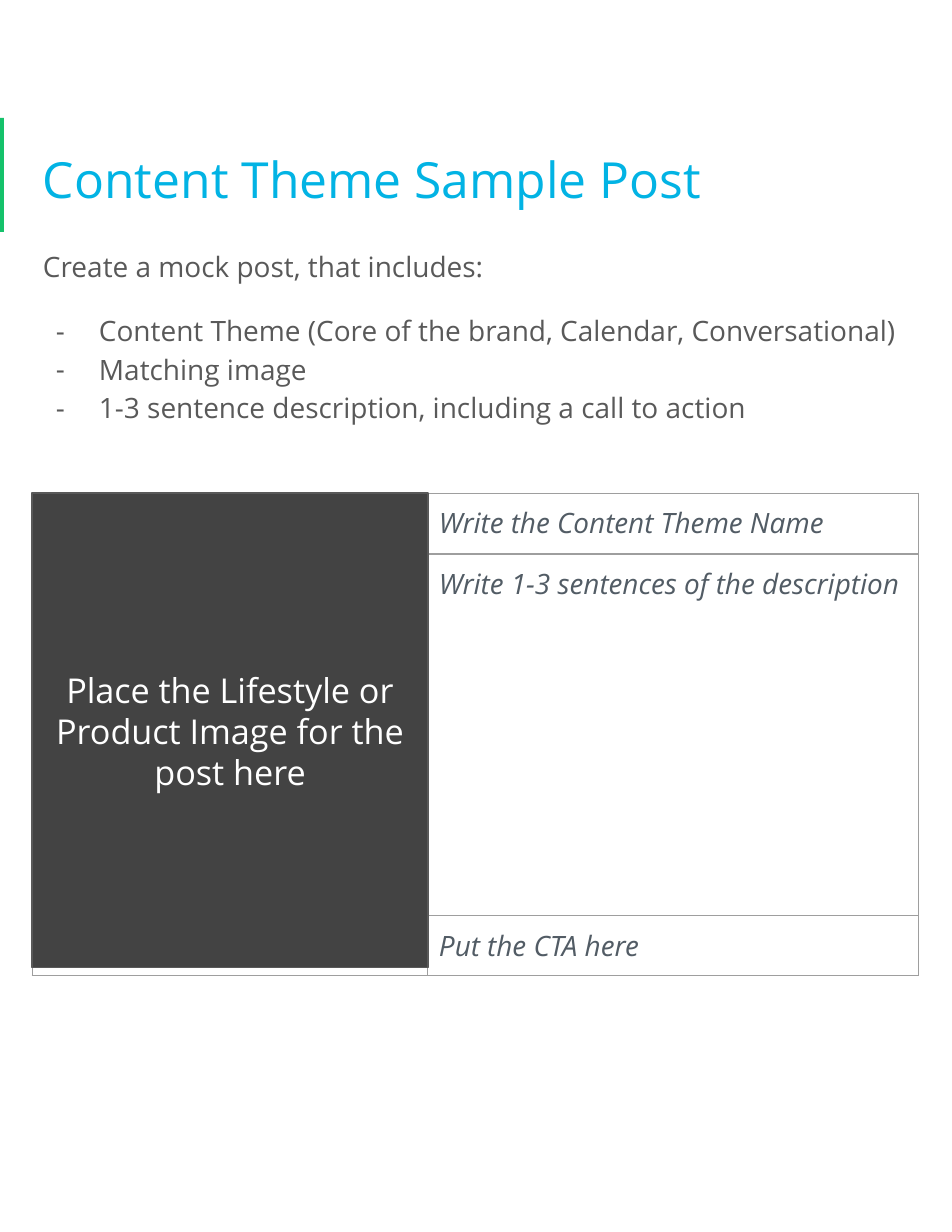
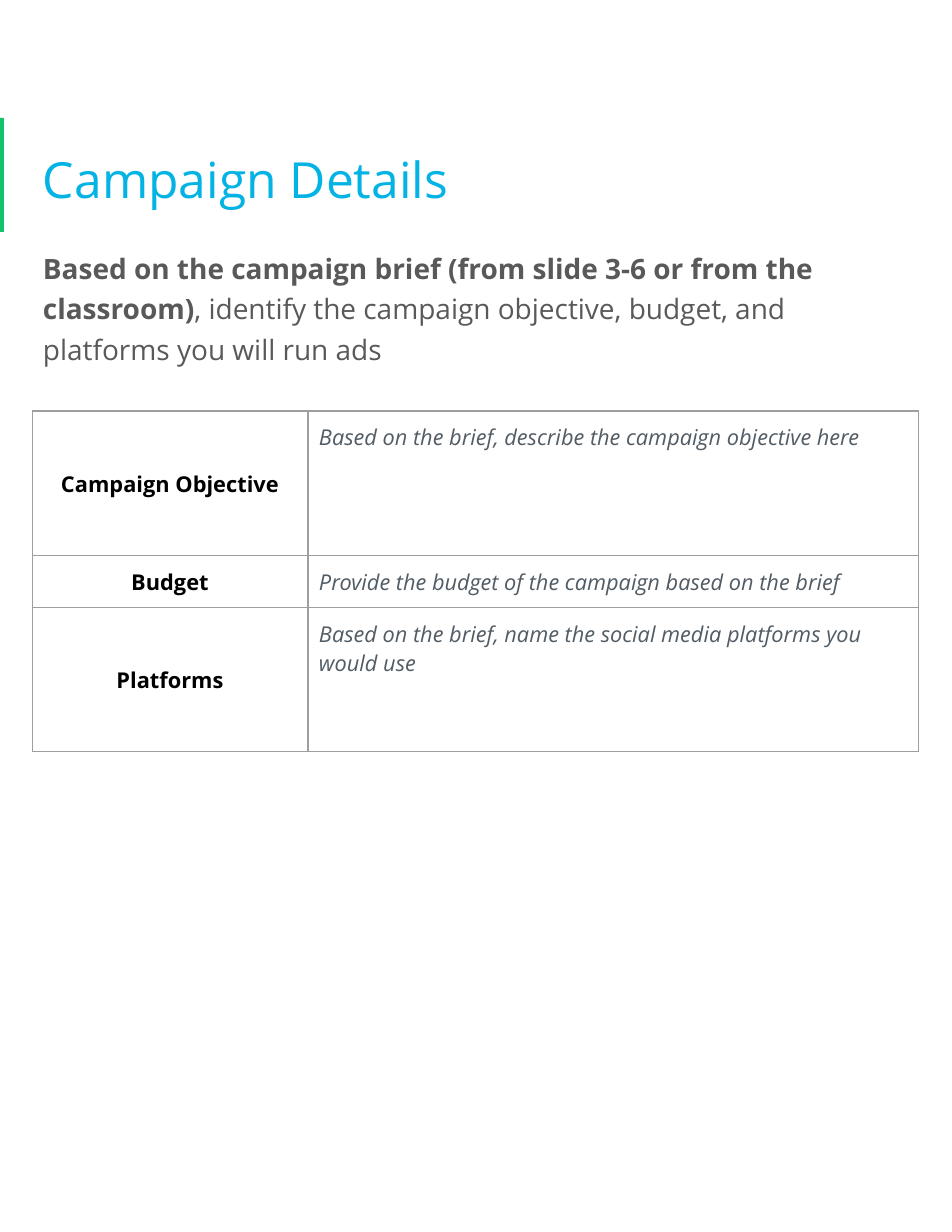
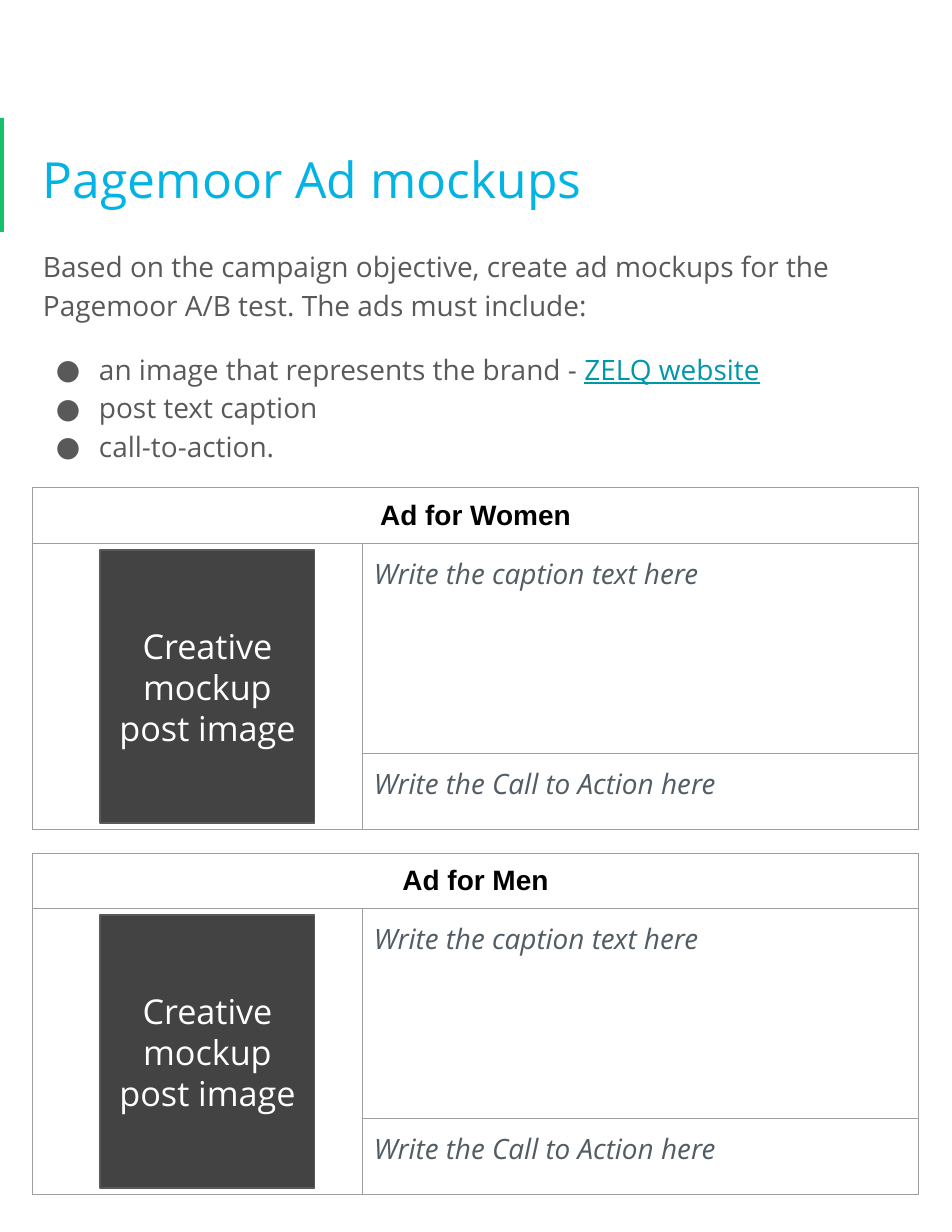
import dataclasses
import typing

import lxml.etree
import pptx
import pptx.dml.color
import pptx.enum.shapes
import pptx.enum.text
import pptx.oxml.ns
import pptx.slide
import pptx.util

SCALE = 914400 / 112
FONT = "Open Sans"
HUES = {
    "bar": "15C26B",
    "title": "02B3E4",
    "body": "595959",
    "hint": "525C65",
    "head": "000000",
    "link": "0097A7",
    "tile": "434343",
    "white": "FFFFFF",
    "grid": "9E9E9E",
}
LEFT = 32
WIDE = 887
PAD = 11
LEAD = 1.15
MIDDLE = pptx.enum.text.MSO_ANCHOR.MIDDLE
TOP = pptx.enum.text.MSO_ANCHOR.TOP


@dataclasses.dataclass
class Box:
    x: int
    y: int
    w: int
    h: int


@dataclasses.dataclass
class Run:
    text: str
    hue: str = ""
    bold: bool = False
    under: bool = False


@dataclasses.dataclass
class Line:
    runs: list[Run]
    mark: str = ""
    before: int = 0


@dataclasses.dataclass
class Cell:
    row: int
    col: int
    text: str
    head: bool = False
    font: str = FONT


@dataclasses.dataclass
class Grid:
    y: int
    cols: list[int]
    rows: list[int]
    cells: list[Cell]
    size: int = 18
    spans: tuple[tuple[int, int, int, int], ...] = ()


def px(count: int) -> int:
    return pptx.util.Emu(round(count * SCALE))


def place(box: Box) -> tuple[int, int, int, int]:
    return px(box.x), px(box.y), px(box.w), px(box.h)


def tint(name: str) -> pptx.dml.color.RGBColor:
    return pptx.dml.color.RGBColor.from_string(HUES[name])


def node(parent: typing.Any, tag: str, **attrs: str) -> typing.Any:
    return lxml.etree.SubElement(parent, pptx.oxml.ns.qn(tag), attrs)


def color(parent: typing.Any, name: str) -> None:
    node(parent, "a:srgbClr", val=HUES[name])


def pad(holder: typing.Any, anchor: typing.Any = TOP) -> None:
    for side in ("left", "right", "top", "bottom"):
        setattr(holder, f"margin_{side}", px(PAD))
    holder.vertical_anchor = anchor


def bullet(para: typing.Any, mark: str) -> None:
    props = para._p.get_or_add_pPr()
    props.set("marL", str(px(56)))
    props.set("indent", str(-px(43)))
    color(node(props, "a:buClr"), "body")
    node(props, "a:buFont", typeface=FONT)
    node(props, "a:buChar", char=mark)


def write(frame: typing.Any, text: str | list[Line], *, size: int, hue: str,
          font: str = FONT, bold: bool = False, slant: bool = False,
          center: bool = False, lead: float = 1.0) -> None:
    lines = [Line([Run(text)])] if isinstance(text, str) else text
    frame.word_wrap = True
    for index, line in enumerate(lines):
        para = frame.add_paragraph() if index else frame.paragraphs[0]
        align = pptx.enum.text.PP_ALIGN
        para.alignment = align.CENTER if center else align.LEFT
        para.line_spacing = lead
        para.space_before = pptx.util.Pt(line.before)
        if line.mark:
            bullet(para, line.mark)
        for part in line.runs:
            run = para.add_run()
            run.text = part.text
            run.font.name = font
            run.font.size = pptx.util.Pt(size)
            run.font.bold = bold or part.bold
            run.font.italic = slant
            run.font.underline = part.under
            run.font.color.rgb = tint(part.hue or hue)


def rect(slide: pptx.slide.Slide, box: Box, fill: str, edge: str = "") -> typing.Any:
    shape = slide.shapes.add_shape(pptx.enum.shapes.MSO_SHAPE.RECTANGLE, *place(box))
    shape.shadow.inherit = False
    shape.fill.solid()
    shape.fill.fore_color.rgb = tint(fill)
    if edge:
        shape.line.color.rgb = tint(edge)
        shape.line.width = pptx.util.Pt(0.75)
    else:
        shape.line.fill.background()
    return shape


def tile(slide: pptx.slide.Slide, box: Box, text: str) -> None:
    frame = rect(slide, box, "tile", "body").text_frame
    pad(frame, MIDDLE)
    write(frame, text, size=22, hue="white", center=True)


def label(slide: pptx.slide.Slide, box: Box, text: str | list[Line],
          anchor: typing.Any = TOP, **style: typing.Any) -> None:
    frame = slide.shapes.add_textbox(*place(box)).text_frame
    pad(frame, anchor)
    write(frame, text, **style)


def border(cell: typing.Any) -> None:
    props = cell._tc.get_or_add_tcPr()
    for side in "LRTB":
        line = node(props, f"a:ln{side}", w=str(pptx.util.Pt(0.75)))
        color(node(line, "a:solidFill"), "grid")
    cell.fill.background()


def draw(slide: pptx.slide.Slide, grid: Grid) -> None:
    box = Box(LEFT, grid.y, sum(grid.cols), sum(grid.rows))
    table = slide.shapes.add_table(len(grid.rows), len(grid.cols), *place(box)).table
    table.first_row = table.horz_banding = False
    for col, width in zip(table.columns, grid.cols):
        col.width = px(width)
    for row, height in zip(table.rows, grid.rows):
        row.height = px(height)
    for cell in table.iter_cells():
        border(cell)
    for top, left, low, right in grid.spans:
        table.cell(top, left).merge(table.cell(low, right))
    for item in grid.cells:
        cell = table.cell(item.row, item.col)
        pad(cell, MIDDLE if item.head else TOP)
        write(cell.text_frame, item.text, size=grid.size, font=item.font,
              hue="head" if item.head else "hint", bold=item.head,
              slant=not item.head, center=item.head)


def page(deck: typing.Any, title: str, body: list[Line],
         lead: float = LEAD) -> pptx.slide.Slide:
    slide = deck.slides.add_slide(deck.slide_layouts[6])
    rect(slide, Box(0, 118, 4, 114), "bar")
    label(slide, Box(LEFT, 106, WIDE, 137), title, MIDDLE,
          size=32, hue="title", lead=LEAD)
    label(slide, Box(LEFT, 234, WIDE, 224), body, size=18, hue="body", lead=lead)
    return slide


def listing(intro: str, mark: str, items: list[list[Run]]) -> list[Line]:
    points = [Line(runs, mark, 0 if index else 16) for index, runs in enumerate(items)]
    return [Line([Run(intro)]), *points]


def sample(deck: typing.Any) -> None:
    slide = page(deck, "Content Theme Sample Post", listing(
        "Create a mock post, that includes:", "-", [
            [Run("Content Theme (Core of the brand, Calendar, Conversational)")],
            [Run("Matching image")],
            [Run("1-3 sentence description, including a call to action")],
        ]))
    hints = ["Write the Content Theme Name", "Write 1-3 sentences of the description",
             "Put the CTA here"]
    cells = [Cell(row, 1, text) for row, text in enumerate(hints)]
    draw(slide, Grid(493, [396, 491], [61, 362, 60], cells, spans=((0, 0, 2, 0),)))
    tile(slide, Box(LEFT, 493, 396, 475),
         "Place the Lifestyle or Product Image for the post here")


def details(deck: typing.Any) -> None:
    slide = page(deck, "Campaign Details", [Line([
        Run("Based on the campaign brief (from slide 3-6 or from the classroom)", bold=True),
        Run(", identify the campaign objective, budget, and platforms you will run ads"),
    ])], lead=1.2)
    facts = {
        "Campaign Objective": "Based on the brief, describe the campaign objective here",
        "Budget": "Provide the budget of the campaign based on the brief",
        "Platforms": "Based on the brief, name the social media platforms you would use",
    }
    cells = []
    for row, (name, hint) in enumerate(facts.items()):
        cells += [Cell(row, 0, name, head=True), Cell(row, 1, hint)]
    draw(slide, Grid(411, [276, 611], [145, 52, 144], cells, size=14))


def mockups(deck: typing.Any) -> None:
    slide = page(deck, "Pagemoor Ad mockups", listing(
        "Based on the campaign objective, create ad mockups for the "
        "Pagemoor A/B test. The ads must include:", "●", [
            [Run("an image that represents the brand - "),
             Run("ZELQ website", hue="link", under=True)],
            [Run("post text caption")],
            [Run("call-to-action.")],
        ]))
    for y, group in ((488, "Women"), (853, "Men")):
        cells = [Cell(0, 0, f"Ad for {group}", head=True, font="Arial"),
                 Cell(1, 1, "Write the caption text here"),
                 Cell(2, 1, "Write the Call to Action here")]
        draw(slide, Grid(y, [331, 556], [54, 210, 76], cells,
                         spans=((0, 0, 0, 1), (1, 0, 2, 0))))
        tile(slide, Box(100, y + 62, 215, 273), "Creative mockup post image")


def main() -> None:
    deck = pptx.Presentation()
    deck.slide_width = px(952)
    deck.slide_height = px(1232)
    sample(deck)
    details(deck)
    mockups(deck)
    deck.save("out.pptx")


if __name__ == "__main__":
    main()
